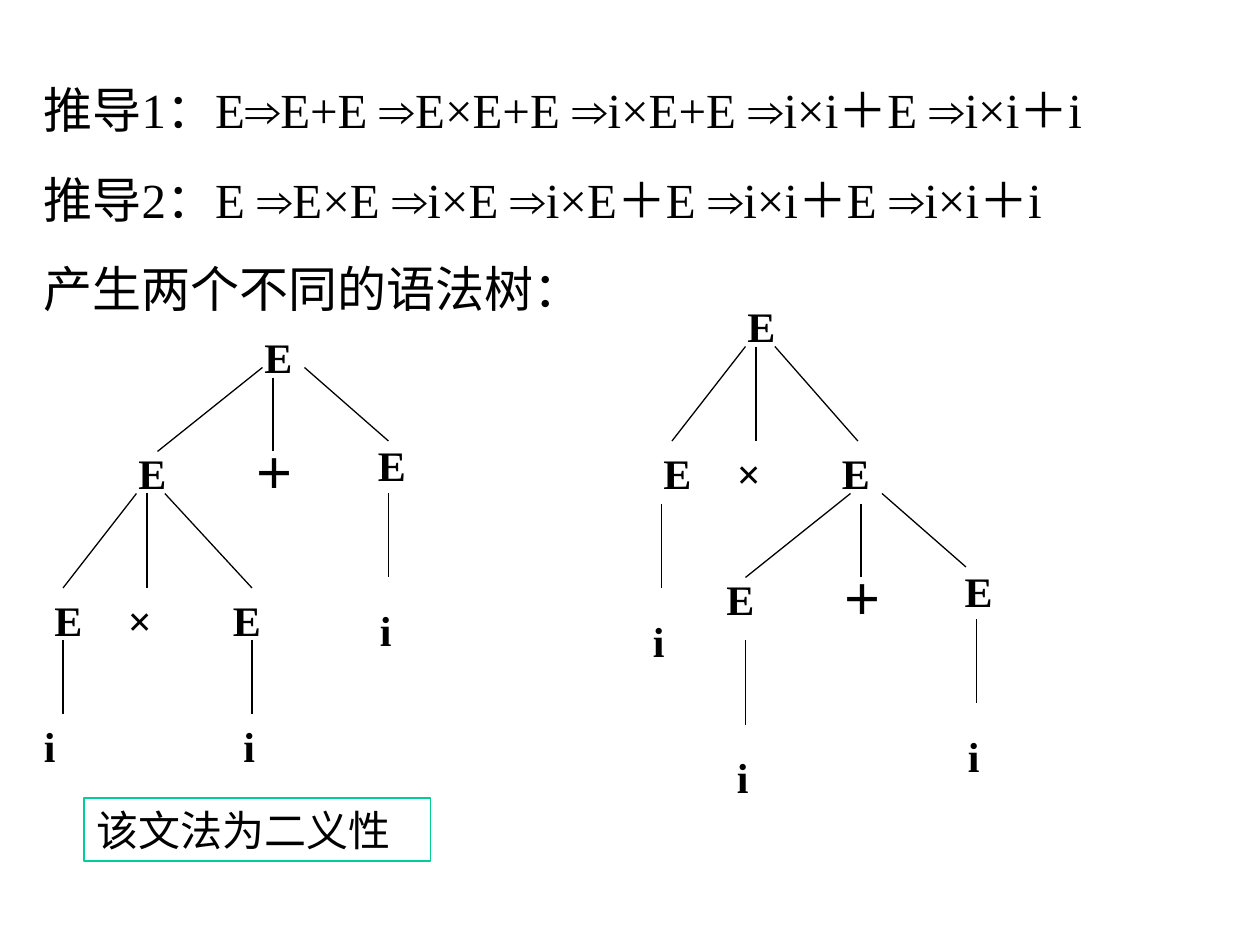
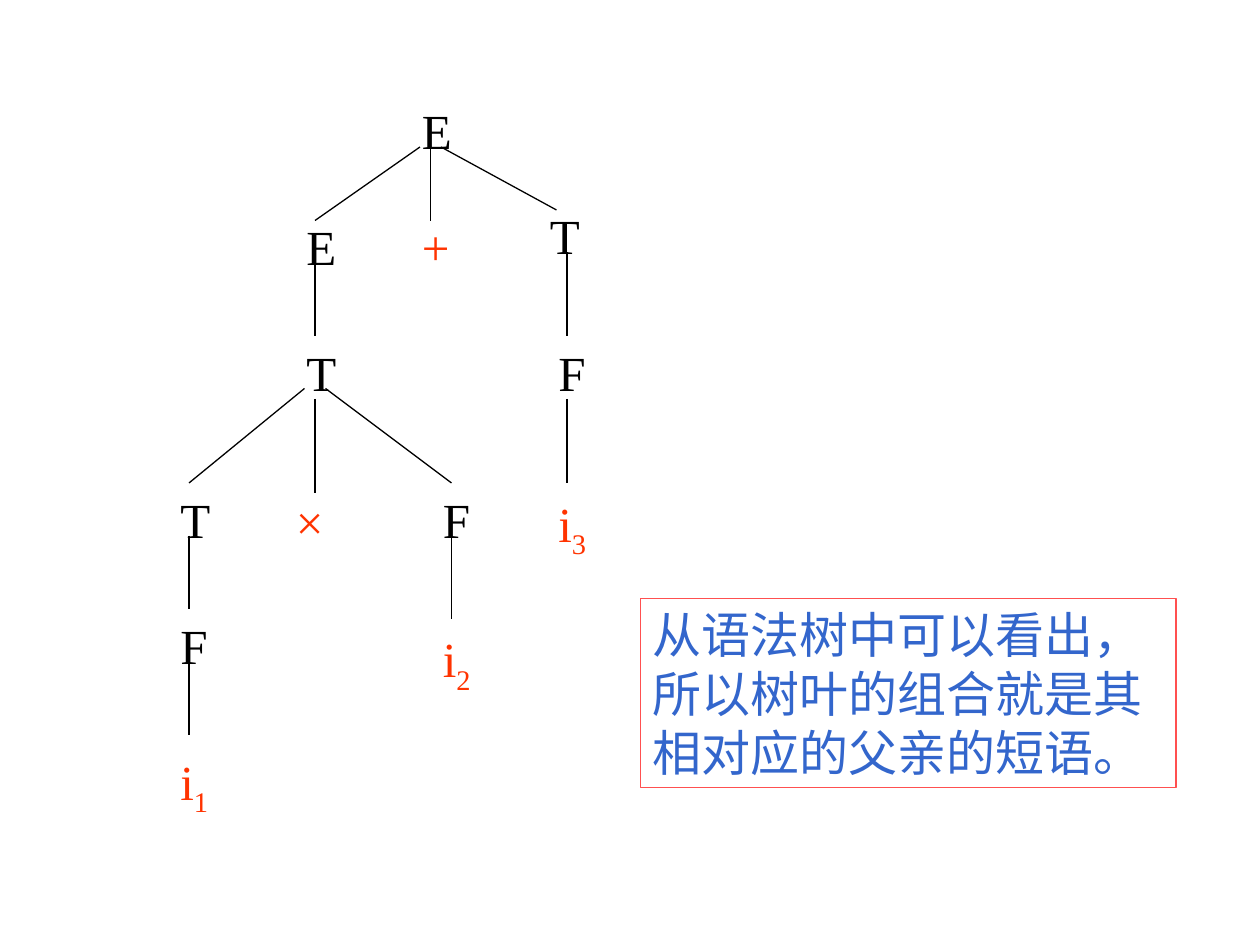
from itertools import groupby

from lxml.etree import SubElement
from pptx import Presentation
from pptx.dml.color import RGBColor
from pptx.enum.lang import MSO_LANGUAGE_ID
from pptx.enum.shapes import MSO_CONNECTOR, MSO_SHAPE
from pptx.enum.text import MSO_ANCHOR, PP_ALIGN
from pptx.oxml.ns import qn
from pptx.util import Cm, Pt

COLOURS = {
    "ink": "000000",
    "terminal": "FF3300",
    "ambiguity": "00CC99",
    "phrase": "FF5050",
    "phrase_text": "3366CC",
}
BODY_FONT = "Times New Roman"
ARROW_FONT = "Arial"
GRID_CM = 2.54 / 12  # everything sits on a grid of 12 steps to the inch
JOIN_REACH = 0.25  # grid steps within which a branch joins a node
TOP, BOTTOM = 0, 2
TERMINALS = "+×i"


def grid(*steps):
    return [Cm(step * GRID_CM) for step in steps]


def colour(name):
    return RGBColor.from_string(COLOURS[name])


def write(box, text, size=28, ink="ink", bold=False, gap=0, subscripts=False):
    """Fill a box with one paragraph per line of text."""
    frame = box.text_frame
    frame.word_wrap = True
    frame.vertical_anchor = MSO_ANCHOR.TOP

    def run_kind(char):
        if char == "⇒":
            return "arrow"
        return "subscript" if subscripts and char.isdigit() else "body"

    for index, line in enumerate(text.split("\n")):
        paragraph = frame.add_paragraph() if index else frame.paragraphs[0]
        paragraph.alignment = PP_ALIGN.LEFT
        paragraph.space_before = Pt(gap if index else 0)
        for kind, chars in groupby(line, run_kind):
            run = paragraph.add_run()
            run.text = "".join(chars)
            font = run.font
            font.name = ARROW_FONT if kind == "arrow" else BODY_FONT
            font.size, font.bold = Pt(size), bold
            font.color.rgb = colour(ink)
            font.language_id = MSO_LANGUAGE_ID.SIMPLIFIED_CHINESE
            if kind == "subscript":
                font._element.set("baseline", "-25000")


def add_text(slide, text, area, **text_format):
    box = slide.shapes.add_textbox(*grid(*area))
    write(box, text, **text_format)
    return box


def add_note(slide, text, area, border, **text_format):
    note = slide.shapes.add_shape(MSO_SHAPE.RECTANGLE, *grid(*area))
    note.shadow.inherit = False
    note.fill.background()
    note.line.color.rgb = colour(border)
    note.line.width = Pt(0.75)
    write(note, text, **text_format)


def add_branch(slide, start, end):
    branch = slide.shapes.add_connector(
        MSO_CONNECTOR.STRAIGHT, *grid(*start, *end))
    branch.line.color.rgb = colour("ink")
    branch.line.width = Pt(0.75)
    SubElement(branch._element.spPr, qn("a:effectLst"))
    return branch


def node_at(boxes, point, side):
    """Return the node whose top or bottom middle lies at the point."""
    x, y = grid(*point)
    reach, = grid(JOIN_REACH)
    for box in boxes:
        edge = box.top + (box.height if side == BOTTOM else 0)
        if abs(box.left + box.width / 2 - x) < reach and abs(edge - y) < reach:
            return box
    return None


def add_tree(slide, nodes, branches, node_size, terminal_ink="ink", **text_format):
    boxes = []
    for symbol, x, y, *own_size in nodes:
        ink = terminal_ink if symbol[0] in TERMINALS else "ink"
        area = (x, y, *(own_size or node_size))
        boxes.append(add_text(slide, symbol, area, ink=ink, **text_format))
    for start, end in branches:
        branch = add_branch(slide, start, end)
        parent = node_at(boxes, start, BOTTOM)
        child = node_at(boxes, end, TOP)
        if parent is not None:
            branch.begin_connect(parent, BOTTOM)
        if child is not None:
            branch.end_connect(child, TOP)


def ambiguity_slide(slide):
    # The two derivations
    derivations = (
        "推导1：E⇒E+E ⇒E×E+E ⇒i×E+E ⇒i×i＋E ⇒i×i＋i\n"
        "推导2：E ⇒E×E ⇒i×E ⇒i×E＋E ⇒i×i＋E ⇒i×i＋i\n"
        "产生两个不同的语法树："
    )
    add_text(slide, derivations, (3, 7, 120, 23.9), gap=17.5)

    # Tree with the sum at the root
    sum_nodes = [
        ("E", 24, 31),
        ("E", 12, 42), ("＋", 23, 42), ("E", 34.8, 41.3),
        ("E", 4, 56), ("×", 11, 56), ("E", 21, 56), ("i", 35, 57),
        ("i", 3, 68), ("i", 22, 68),
    ]
    sum_branches = [
        ((25, 35), (15, 43)), ((26, 36), (26, 43)), ((29, 35), (37, 42)),
        ((13, 47), (6, 56)), ((14, 47), (14, 56)), ((15.7, 47), (23.8, 56)),
        ((37, 47), (37, 55)), ((6, 61), (6, 68)), ((24, 61), (24, 68)),
    ]

    # Tree with the product at the root
    product_nodes = [
        ("E", 70, 28),
        ("E", 62, 42), ("×", 69, 42), ("E", 79, 42),
        ("i", 61, 58), ("E", 68, 54), ("＋", 79, 54), ("E", 90.7, 53.3),
        ("i", 69, 71), ("i", 91, 69),
    ]
    product_branches = [
        ((71, 33), (64, 42)), ((72, 33), (72, 42)), ((73.8, 33), (81.7, 42)),
        ((63, 48), (63, 56)),
        ((81, 47), (71, 55)), ((82, 48), (82, 55)), ((84, 47), (92, 54)),
        ((71, 61), (71, 69)), ((93, 59), (93, 67)),
    ]
    for nodes, branches in ((sum_nodes, sum_branches),
                            (product_nodes, product_branches)):
        add_tree(slide, nodes, branches, (6, 6), size=24, bold=True)

    # Conclusion
    add_note(slide, "该文法为二义性", (8, 76, 33, 6), "ambiguity", size=24)


def phrase_slide(slide):
    # Syntax tree with its leaves highlighted
    leaf_size = (7, 7.6)
    nodes = [
        ("E", 39, 9),
        ("E", 28, 20), ("+", 39, 20), ("T", 51.2, 19),
        ("T", 28, 32), ("F", 52, 32),
        ("T", 16, 46), ("×", 27, 46.2, 8, 6.8), ("F", 41, 46),
        ("i3", 52, 46.4, *leaf_size),
        ("F", 16, 58), ("i2", 41, 59.3, *leaf_size),
        ("i1", 16, 71, *leaf_size),
    ]
    branches = [
        ((40, 14), (30, 21)), ((41, 14), (41, 21)), ((42, 14), (53, 20)),
        ((30, 25), (30, 32)), ((54, 24), (54, 32)),
        ((29, 37), (18, 46)), ((30, 38), (30, 47)), ((31, 37), (43, 46)),
        ((54, 38), (54, 46)), ((43, 51), (43, 59)),
        ((18, 51), (18, 58)), ((18, 63), (18, 70)),
    ]
    add_tree(slide, nodes, branches, (5, 6.8),
             terminal_ink="terminal", subscripts=True)

    # Conclusion
    add_note(slide, "从语法树中可以看出，所以树叶的组合就是其相对应的父亲的短语。",
             (61, 57, 51, 18), "phrase", ink="phrase_text")


def main():
    deck = Presentation()
    deck.slide_width, deck.slide_height = Cm(25.4), Cm(19.05)
    blank = deck.slide_layouts[6]
    for build in (ambiguity_slide, phrase_slide):
        build(deck.slides.add_slide(blank))
    deck.save("out.pptx")


if __name__ == "__main__":
    main()
